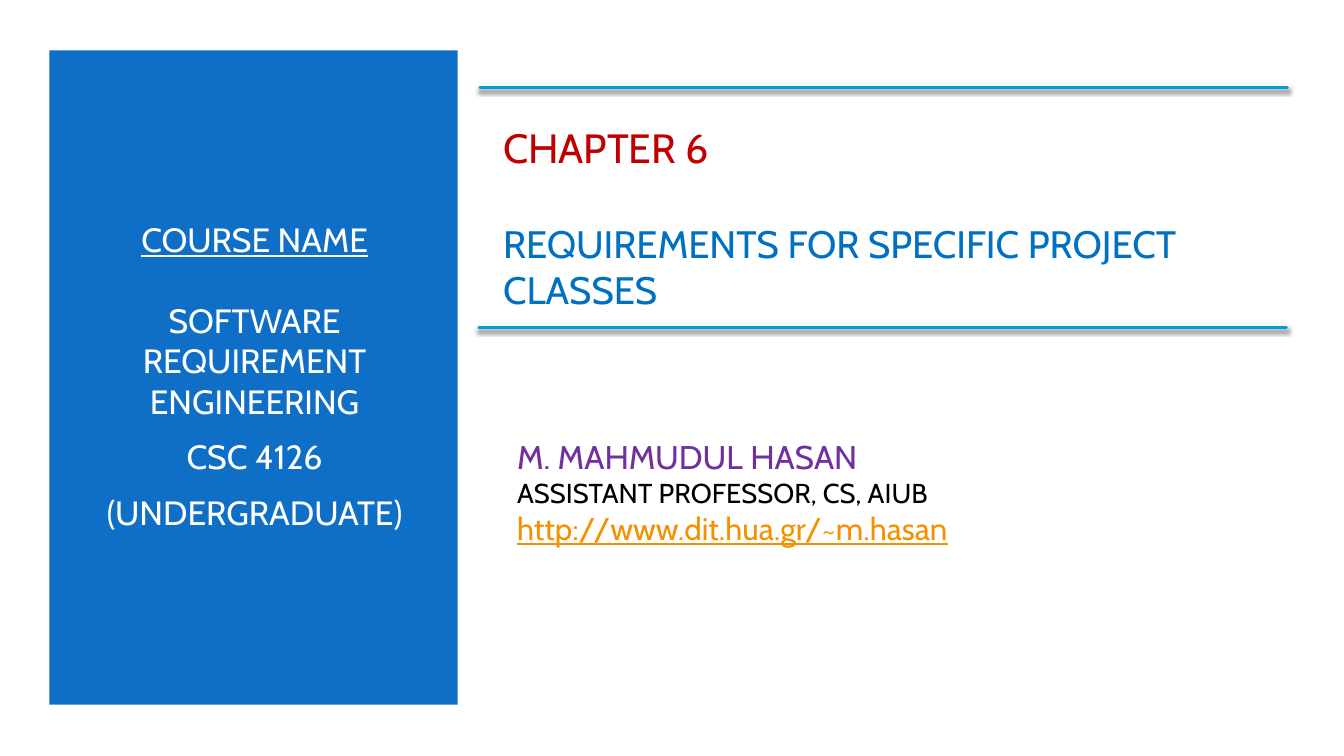
from lxml.etree import SubElement
from pptx import Presentation
from pptx.dml.color import RGBColor
from pptx.enum.shapes import MSO_CONNECTOR, MSO_SHAPE
from pptx.enum.text import MSO_ANCHOR, MSO_AUTO_SIZE, PP_ALIGN
from pptx.oxml.ns import qn
from pptx.util import Inches, Pt

COLORS = {
    "white": "FFFFFF", "panel": "0F6FC6", "rule": "009DD9", "chapter": "C00000",
    "topic": "0070C0", "author": "7030A0", "black": "000000", "link": "F49100",
}


def color(name):
    return RGBColor.from_string(COLORS[name])


def box(left, top, width, height):
    return [Inches(n) for n in (left, top, width, height)]


def write(par, text, size, tint, font="Cabin", line=False, before=0, after=0,
          align=PP_ALIGN.LEFT):
    par.alignment = align
    par.line_spacing = 1.0
    par.space_before, par.space_after = Pt(before), Pt(after)
    run = par.add_run()
    run.text = text
    run.font.name, run.font.size = font, Pt(size)
    run.font.underline = line
    run.font.color.rgb = color(tint)


class Deck:
    def __init__(self):
        self.prs = Presentation()
        self.prs.slide_width, self.prs.slide_height = Inches(13.33), Inches(7.5)
        self.slide = self.prs.slides.add_slide(self.prs.slide_layouts[5])
        fill = self.slide.background.fill
        fill.solid()
        fill.fore_color.rgb = color("white")

    def panel(self, place, tint):
        shape = self.slide.shapes.add_shape(MSO_SHAPE.RECTANGLE, *box(*place))
        shape.shadow.inherit = False
        shape.fill.solid()
        shape.fill.fore_color.rgb = color(tint)
        shape.line.fill.background()

    def fill(self, shape, items):
        """Write one paragraph for each dict of write() arguments."""
        frame = shape.text_frame
        frame.word_wrap = True
        frame.auto_size = MSO_AUTO_SIZE.NONE
        frame.vertical_anchor = MSO_ANCHOR.MIDDLE
        for i, item in enumerate(items):
            write(frame.add_paragraph() if i else frame.paragraphs[0], **item)

    def title(self, place, items):
        shape = self.slide.shapes.title
        shape.left, shape.top, shape.width, shape.height = box(*place)
        self.fill(shape, items)

    def text(self, place, items):
        self.fill(self.slide.shapes.add_textbox(*box(*place)), items)

    def rule(self, left, top, width):
        """Draw a level line with a soft shadow below it."""
        line = self.slide.shapes.add_connector(
            MSO_CONNECTOR.STRAIGHT, *box(left, top, left + width, top))
        line.line.color.rgb = color("rule")
        line.line.width = Pt(2)
        props = line._element.spPr
        props.find(qn("a:ln")).set("cap", "rnd")
        shade = SubElement(SubElement(props, qn("a:effectLst")), qn("a:outerShdw"),
                           blurRad=str(Pt(3)), dist=str(Pt(2)), dir="5400000",
                           rotWithShape="0")
        tint = SubElement(shade, qn("a:srgbClr"), val=COLORS["black"])
        SubElement(tint, qn("a:alpha"), val="55000")


def main():
    deck = Deck()
    deck.panel((0.49, 0.5, 4.05, 6.49), "panel")
    course = dict(size=24, tint="white", align=PP_ALIGN.CENTER)
    deck.text((0.84, 1.1, 3.37, 5.25), [
        dict(course, text="COURSE NAME", line=True),
        dict(course, text="SOFTWARE REQUIREMENT ENGINEERING", before=29),
        dict(course, text="CSC 4126", before=10.8),
        dict(course, text="(UNDERGRADUATE)", before=10.8),
    ])
    deck.title((4.89, 1.1, 7.85, 2.11), [
        dict(text="CHAPTER 6", size=29.2, tint="chapter", after=35),
        dict(text="REQUIREMENTS FOR SPECIFIC PROJECT CLASSES", size=27.3,
             tint="topic"),
    ])
    deck.text((5.03, 4.1, 6.66, 1.56), [
        dict(text="M. MAHMUDUL HASAN", size=23.4, tint="author"),
        dict(text="ASSISTANT PROFESSOR, CS, AIUB", size=19.5, tint="black"),
        dict(text="http://www.dit.hua.gr/~m.hasan", size=22.4, tint="link",
             line=True),
    ])
    for left, top in ((4.76, 0.87), (4.75, 3.25)):
        deck.rule(left, top, 8.01)
    deck.prs.save("out.pptx")


if __name__ == "__main__":
    main()
